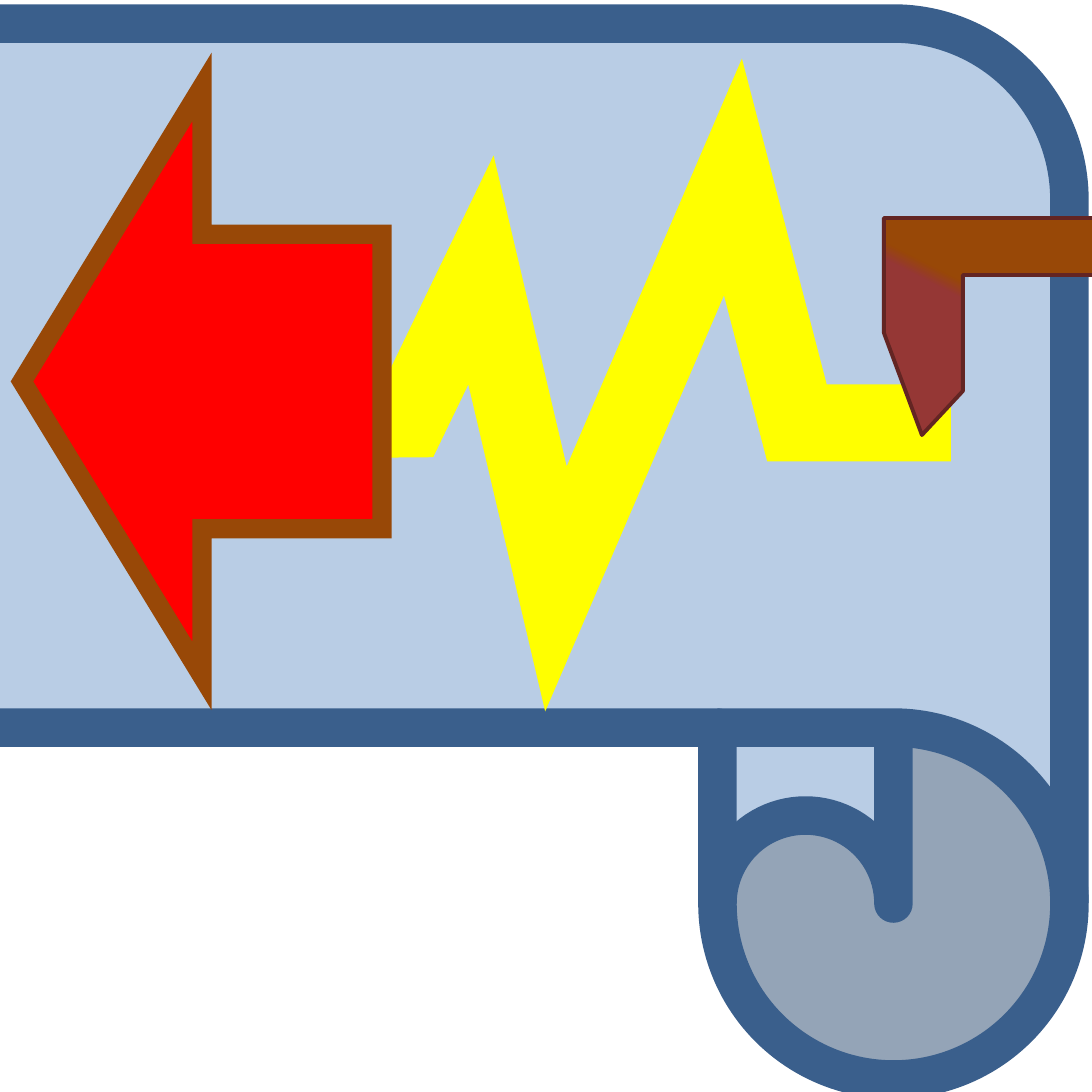
from dataclasses import dataclass

from lxml import etree
from pptx import Presentation
from pptx.dml.color import RGBColor
from pptx.enum.shapes import MSO_SHAPE
from pptx.oxml.ns import qn
from pptx.util import Pt

VERTICAL_SCROLL = MSO_SHAPE.VERTICAL_SCROLL
LEFT_ARROW = MSO_SHAPE.LEFT_ARROW
PIXEL = 914400 / 138.6
SLIDE_SIDE = 1092


@dataclass(frozen=True)
class Theme:
    """Colours and line widths (in points) of the slide."""

    paper: str = "B9CDE5"
    paper_edge: str = "3A5F8C"
    trace: str = "FFFF00"
    arrow: str = "FF0000"
    wood: str = "984807"
    nib: str = "953735"
    pen_edge: str = "632523"
    paper_width: int = 20
    trace_width: int = 40
    arrow_width: int = 10
    pen_width: int = 2


THEME = Theme()


def emu(pixels):
    """Turn pixels into EMU."""
    return round(pixels * PIXEL)


def style(shape, fill, line, width, join="round"):
    """Set the fill (None for no fill), outline and line join of a shape."""
    shape.shadow.inherit = False
    if fill is None:
        shape.fill.background()
    else:
        shape.fill.solid()
        shape.fill.fore_color.rgb = RGBColor.from_string(fill)
    shape.line.color.rgb = RGBColor.from_string(line)
    shape.line.width = Pt(width)
    outline = shape.line._get_or_add_ln()
    corner = etree.SubElement(outline, qn(f"a:{join}"))
    if join == "miter":
        corner.set("lim", "800000")


def add_preset(slide, kind, box):
    """Add a preset shape that fills the box."""
    return slide.shapes.add_shape(kind, *map(emu, box))


def add_outline(slide, box, points, close):
    """Add a freeform whose points are relative to the box corner."""
    left, top = box[:2]
    builder = slide.shapes.build_freeform(*points[0], scale=PIXEL)
    builder.add_line_segments(points[1:], close=close)
    return builder.convert_to_shape(emu(left), emu(top))


def set_gradient(shape, stops, angle):
    """Fill a shape with a linear gradient of (percent, colour) stops."""
    shape.fill.gradient()
    shape.fill.gradient_angle = 360 - angle
    stop_list = shape.element.spPr.find(qn("a:gradFill")).find(qn("a:gsLst"))
    for old_stop in list(stop_list):
        stop_list.remove(old_stop)
    for percent, colour in stops:
        stop = etree.SubElement(stop_list, qn("a:gs"), pos=str(percent * 1000))
        etree.SubElement(stop, qn("a:srgbClr"), val=colour)


def draw_paper(slide, box):
    """Draw the paper roll as a scroll turned on its side."""
    scroll = add_preset(slide, VERTICAL_SCROLL, box)
    scroll.rotation = 270
    scroll.adjustments[0] = 0.25
    style(scroll, THEME.paper, THEME.paper_edge, THEME.paper_width)


def draw_trace(slide, box):
    """Draw the zigzag trace on the paper."""
    points = [(0, 243), (125, 242), (197, 93), (272, 412),
              (449, 0), (513, 246), (667, 246)]
    trace = add_outline(slide, box, points, close=False)
    style(trace, None, THEME.trace, THEME.trace_width, "miter")


def draw_pen(slide, box):
    """Draw the pen arm with its darker nib."""
    width, height = box[2:]
    points = [(38, height), (79, 173), (79, 57), (width, 57),
              (width, 0), (0, 0), (0, 115)]
    pen = add_outline(slide, box, points, close=True)
    style(pen, THEME.wood, THEME.pen_edge, THEME.pen_width)
    set_gradient(pen, [(0, THEME.wood), (57, THEME.wood),
                       (61, THEME.nib), (100, THEME.nib)], 117)


def draw_arrow(slide, box):
    """Draw the arrow that shows the direction of the paper."""
    arrow = add_preset(slide, LEFT_ARROW, box)
    style(arrow, THEME.arrow, THEME.wood, THEME.arrow_width, "miter")


def main():
    """Build and save the presentation."""
    presentation = Presentation()
    presentation.slide_width = presentation.slide_height = emu(SLIDE_SIDE)
    slide = presentation.slides.add_slide(presentation.slide_layouts[6])
    draw_paper(slide, (-398, -388, 1408, 1527))
    draw_trace(slide, (284, 177, 667, 412))
    draw_pen(slide, (884, 218, 459, 217))
    draw_arrow(slide, (22, 87, 360, 589))
    presentation.save("out.pptx")


main()
